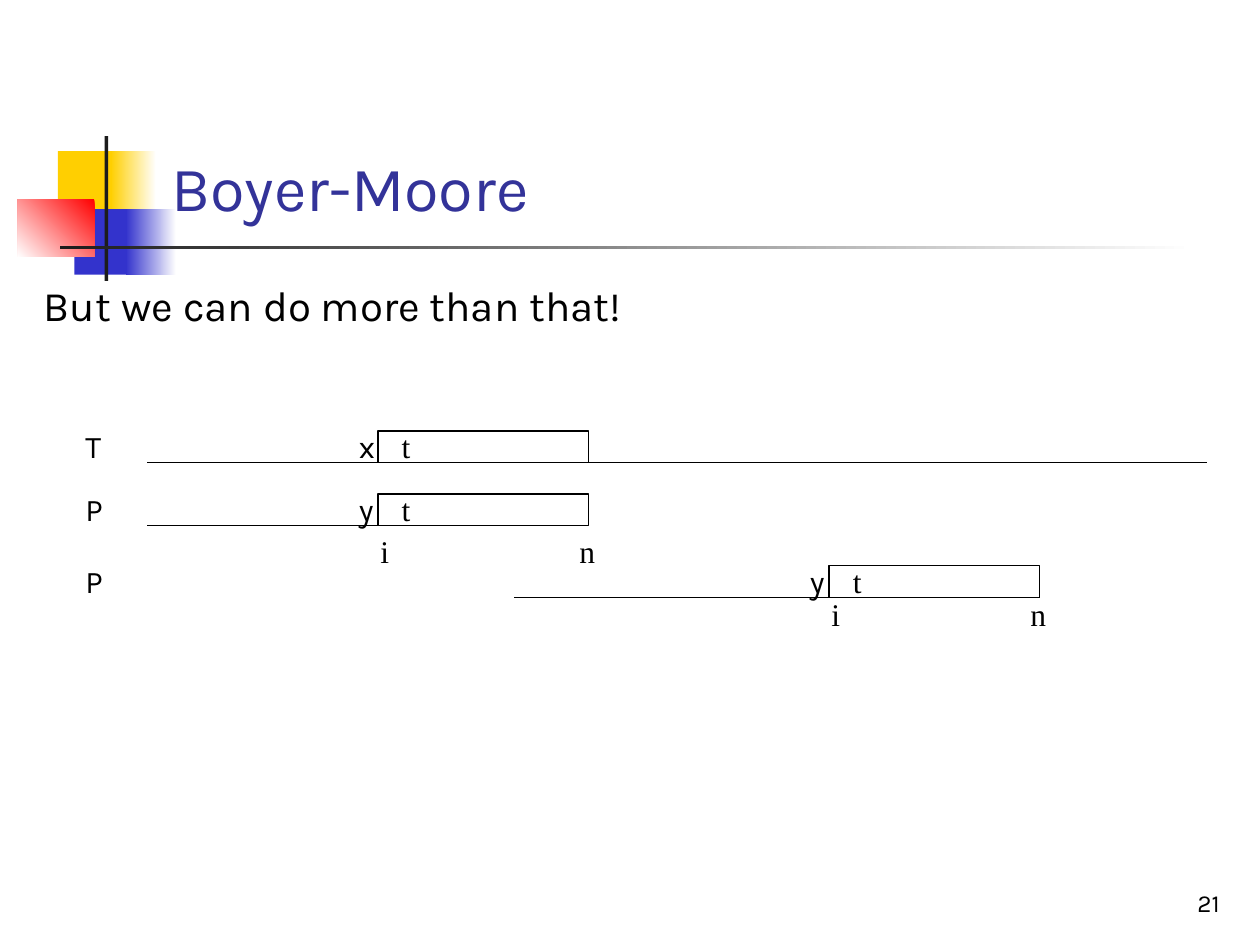
from lxml import etree
from pptx import Presentation
from pptx.dml.color import RGBColor
from pptx.enum import shapes, text
from pptx.oxml.ns import qn
from pptx.util import Inches, Pt

SANS, SERIF = "Karla", "Times New Roman"


def color(code):
    return RGBColor.from_string(code)


def write(box, words, size=18, face=SANS, ink="000000", wrap=True, **frame):
    """Fill a shape with one formatted paragraph."""
    body = box.text_frame
    look = {"word_wrap": wrap, "vertical_anchor": text.MSO_ANCHOR.TOP,
            "auto_size": text.MSO_AUTO_SIZE.NONE, **frame}
    for name, value in look.items():
        setattr(body, name, value)
    body.text = words
    par = body.paragraphs[0]
    par.alignment = text.PP_ALIGN.LEFT
    for name, value in {"size": Pt(size), "name": face}.items():
        setattr(par.runs[0].font, name, value)
    par.runs[0].font.color.rgb = color(ink)
    return par


deck = Presentation()
deck.slide_width, deck.slide_height = Inches(10), Inches(7.5)
slide = deck.slides.add_slide(deck.slide_layouts[5])
items = slide.shapes

# Corner ornament: one colour is solid, two colours run as a gradient
blocks = [
    (0.46, 1.2, 0.48, 0.52, ["FFCF01"], 0),
    (0.88, 1.2, 0.36, 0.52, ["FFFFFF", "FFCF01"], 180),
    (0.59, 1.66, 0.46, 0.52, ["3333CC"], 0),
    (1, 1.66, 0.4, 0.52, ["FFFFFF", "3333CC"], 180),
    (0.14, 1.58, 0.61, 0.46, ["FF0000", "FFFFFF"], 225),
    (0.83, 1.08, 0.03, 1.15, ["1C1C1C"], 0),
    (0.48, 1.95, 9, 0.03, ["FFFFFF", "1C1C1C"], 180),
]
for *place, tints, angle in blocks:
    block = items.add_shape(shapes.MSO_SHAPE.RECTANGLE, *map(Inches, place))
    block.shadow.inherit = False
    block.line.fill.background()
    if len(tints) == 1:
        block.fill.solid()
        block.fill.fore_color.rgb = color(tints[0])
    else:
        block.fill.gradient()
        block.fill.gradient_angle = angle
        for stop, tint in zip(block.fill.gradient_stops, tints):
            stop.color.rgb = color(tint)

title = items.title
title.left, title.top = Inches(1.26), Inches(0.23)
title.width, title.height = Inches(8.52), Inches(1.6)
write(title, "Boyer-Moore", 36, ink="333399", vertical_anchor=text.MSO_ANCHOR.BOTTOM)

lead = items.add_textbox(Inches(0.25), Inches(2.17), Inches(9.38), Inches(4.83))
write(lead, "But we can do more than that!", 24)

# Each row: name, letter before the match, baseline, line ends, match left, index top
rows = [
    ("T", "x", 3.67, 1.17, 9.58, 3, None),
    ("P", "y", 4.17, 1.17, 4.67, 3, 4.17),
    ("P", "y", 4.74, 4.08, 8.25, 6.58, 4.67),
]
for name, letter, base, start, end, left, low in rows:
    rule = items.add_connector(shapes.MSO_CONNECTOR.STRAIGHT,
                               *map(Inches, (start, base, end, base)))
    etree.SubElement(rule._element.spPr, qn("a:effectLst"))
    match = items.add_shape(shapes.MSO_SHAPE.FLOWCHART_PROCESS,
                            *map(Inches, (left, base - 0.25, 1.67, 0.25)))
    match.shadow.inherit = False
    match.fill.background()
    for edge in (rule.line, match.line):
        edge.width = Pt(0.75)
        edge.color.rgb = color("000000")

    high = base - 0.33
    marks = [(name, 0.58, high, 0.42, SANS),
             (letter, left - 0.25, high, 0.33, SANS),
             ("t", left + 0.09, high, 0.27, SERIF)]
    if low:
        marks += [("i", left - 0.08, low, 0.27, SERIF),
                  ("n", left + 1.5, low, 0.32, SERIF)]
    for mark, x, y, width, face in marks:
        box = items.add_textbox(*map(Inches, (x, y, width, 0.4)))
        write(box, mark, face=face, wrap=False)

number = items.add_textbox(Inches(7.7), Inches(6.83), Inches(2.08), Inches(0.5))
par = write(number, "21", 14, vertical_anchor=text.MSO_ANCHOR.BOTTOM)
par.alignment = text.PP_ALIGN.RIGHT

deck.save("out.pptx")
